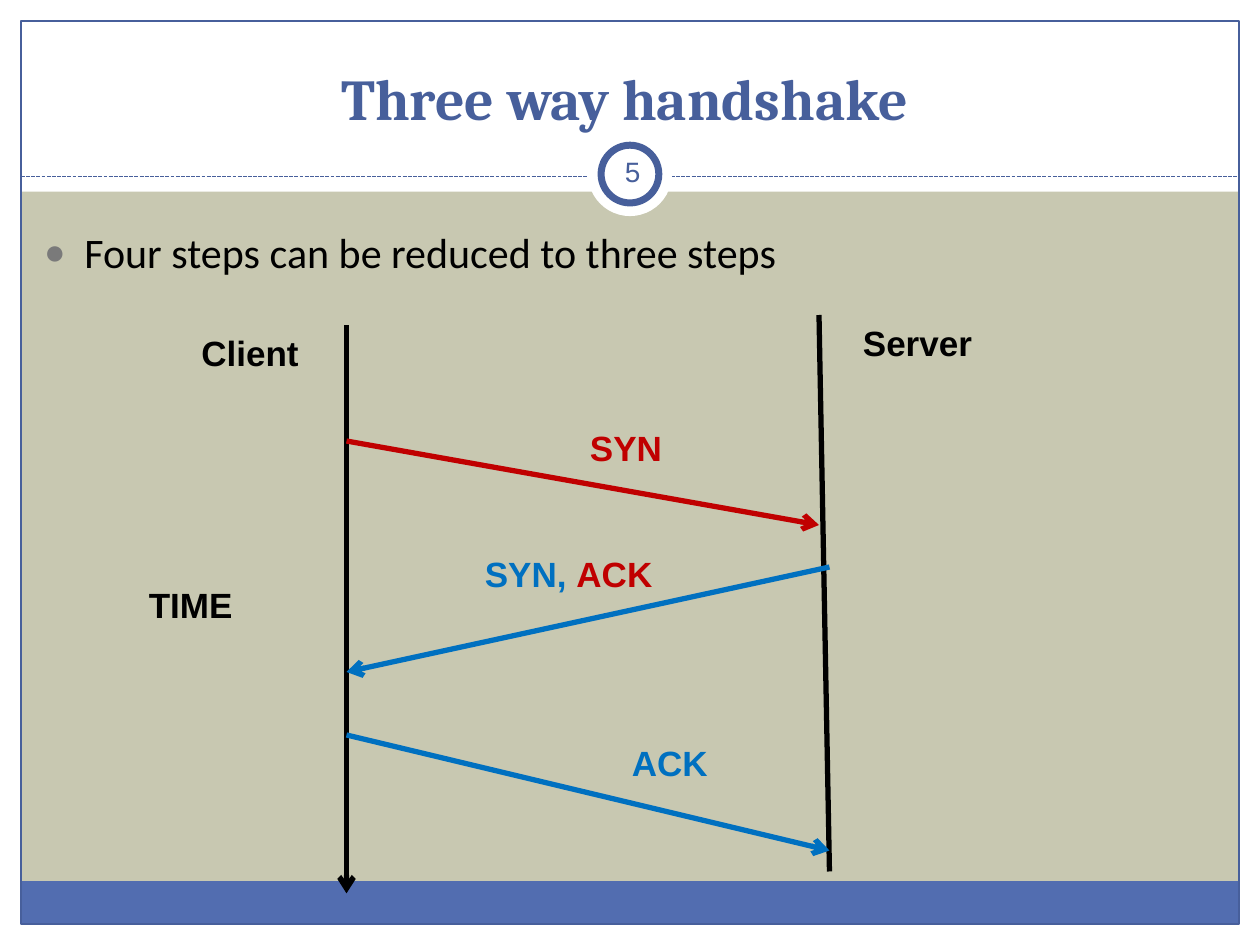
from dataclasses import dataclass
from typing import Any, Optional

from lxml.etree import SubElement
from pptx import Presentation
from pptx.dml.color import RGBColor
from pptx.enum.dml import MSO_LINE
from pptx.enum.shapes import MSO_CONNECTOR, MSO_SHAPE
from pptx.enum.text import MSO_ANCHOR, MSO_AUTO_SIZE, PP_ALIGN
from pptx.oxml.ns import qn
from pptx.util import Pt

NAVY, BLUE, RED, BLACK, WHITE = "475F9B", "0070C0", "C00000", "000000", "FFFFFF"
BAND, SAND, GREY = "526DB0", "C8C8B1", "7A7A7A"

WIDTH, HEIGHT, MARGIN = 720, 540, 12
HEADER_BOTTOM, RULE_Y, FRAME_BOTTOM = 109.5, 100.8, 528
CLIENT_X, SERVER_TOP_X, SERVER_X = 198, 468, 474
LABEL_HEIGHT = 31.5

LABEL_FONT = {"name": "Arial", "size": Pt(20), "bold": True}
LABEL_FRAME = {"word_wrap": True, "auto_size": MSO_AUTO_SIZE.SHAPE_TO_FIT_TEXT}


@dataclass(frozen=True)
class Panel:
    left: float
    top: float
    width: float
    height: float
    fill: Optional[str] = None
    line: Optional[str] = None
    line_width: float = 0.75
    kind: MSO_SHAPE = MSO_SHAPE.RECTANGLE


@dataclass(frozen=True)
class Line:
    start: tuple[float, float]
    end: tuple[float, float]
    color: str = BLACK
    width: float = 3
    arrow: bool = False
    dash: Optional[MSO_LINE] = None


@dataclass(frozen=True)
class Label:
    left: float
    top: float
    width: float
    runs: tuple[tuple[str, str], ...]


def circle(diameter: float, center_y: float, **style: Any) -> Panel:
    """Describe a circle centred across the slide."""
    return Panel((WIDTH - diameter) / 2, center_y - diameter / 2, diameter, diameter,
                 kind=MSO_SHAPE.OVAL, **style)


PANELS = [
    Panel(0, FRAME_BOTTOM, WIDTH, HEIGHT - FRAME_BOTTOM, WHITE),
    Panel(0, 0, WIDTH, HEADER_BOTTOM, WHITE),
    Panel(0, 0, MARGIN, HEIGHT, WHITE),
    Panel(WIDTH - MARGIN, 0, MARGIN, HEIGHT, WHITE),
    Panel(MARGIN, 503.5, WIDTH - 2 * MARGIN, FRAME_BOTTOM - 503.5, BAND),
    Panel(MARGIN, MARGIN, WIDTH - 2 * MARGIN, FRAME_BOTTOM - MARGIN, line=NAVY),
]
HEADER_RULE = Line((MARGIN, RULE_Y), (WIDTH - MARGIN, RULE_Y), NAVY, 0.75,
                   dash=MSO_LINE.SQUARE_DOT)
BADGE = [
    circle(48, 99.5, fill=WHITE),
    circle(33, 99.5, fill=WHITE, line=NAVY, line_width=4),
]
HANDSHAKE = [
    Line((CLIENT_X, 186), (CLIENT_X, 510.5), arrow=True),
    Line((SERVER_TOP_X, 180), (SERVER_X, 498)),
    Line((CLIENT_X, 252), (SERVER_TOP_X, 300), RED, arrow=True),
    Line((SERVER_X, 324), (CLIENT_X, 384), BLUE, arrow=True),
    Line((CLIENT_X, 420), (SERVER_X, 486), BLUE, arrow=True),
]
LABELS = [
    Label(330, 240, 60, (("SYN", RED),)),
    Label(270, 312, 114, (("SYN, ", BLUE), ("ACK", RED))),
    Label(354, 420, 60, (("ACK", BLUE),)),
    Label(78, 330, 66, (("TIME", BLACK),)),
    Label(108, 186, 72, (("Client", BLACK),)),
    Label(486, 180, 84, (("Server", BLACK),)),
]


def rgb(color: str) -> RGBColor:
    return RGBColor.from_string(color)


def set_attributes(target: Any, values: dict[str, Any]) -> None:
    for name, value in values.items():
        setattr(target, name, value)


def place(shape: Any, left: float, top: float, width: float, height: float) -> None:
    set_attributes(shape, {"left": Pt(left), "top": Pt(top),
                           "width": Pt(width), "height": Pt(height)})


def add_run(paragraph: Any, text: str, color: str, font: dict[str, Any]) -> None:
    run = paragraph.add_run()
    run.text = text
    set_attributes(run.font, font)
    run.font.color.rgb = rgb(color)


def draw_panel(slide: Any, panel: Panel) -> None:
    shape = slide.shapes.add_shape(panel.kind, Pt(panel.left), Pt(panel.top),
                                   Pt(panel.width), Pt(panel.height))
    shape.shadow.inherit = False
    if panel.fill:
        shape.fill.solid()
        shape.fill.fore_color.rgb = rgb(panel.fill)
    else:
        shape.fill.background()
    if panel.line:
        shape.line.color.rgb = rgb(panel.line)
        shape.line.width = Pt(panel.line_width)
    else:
        shape.line.fill.background()


def draw_line(slide: Any, line: Line) -> None:
    connector = slide.shapes.add_connector(
        MSO_CONNECTOR.STRAIGHT, *map(Pt, line.start), *map(Pt, line.end))
    connector.line.color.rgb = rgb(line.color)
    connector.line.width = Pt(line.width)
    if line.dash:
        connector.line.dash_style = line.dash
    properties = connector._element.spPr
    if line.arrow:
        SubElement(properties.find(qn("a:ln")), qn("a:tailEnd"), type="arrow")
    SubElement(properties, qn("a:effectLst"))


def draw_label(slide: Any, label: Label) -> None:
    box = slide.shapes.add_textbox(Pt(label.left), Pt(label.top),
                                   Pt(label.width), Pt(LABEL_HEIGHT))
    set_attributes(box.text_frame, LABEL_FRAME)
    for text, color in label.runs:
        add_run(box.text_frame.paragraphs[0], text, color, LABEL_FONT)


def draw_slide_number(slide: Any, number: str) -> None:
    box = slide.shapes.add_textbox(Pt(343.5), Pt(80.5), Pt(36), Pt(34.5))
    margins = {f"margin_{side}": Pt(3.6) for side in ("left", "top", "right", "bottom")}
    set_attributes(box.text_frame, {
        "word_wrap": True, "vertical_anchor": MSO_ANCHOR.MIDDLE, **margins})
    paragraph = box.text_frame.paragraphs[0]
    paragraph.alignment = PP_ALIGN.CENTER
    add_run(paragraph, number, NAVY, {"name": "Arial", "size": Pt(16)})


def bring_to_front(shape: Any) -> None:
    shape._element.getparent().append(shape._element)


def write_title(title: Any, text: str) -> None:
    place(title, 48, 18, 618, 61)
    set_attributes(title.text_frame, {
        "vertical_anchor": MSO_ANCHOR.BOTTOM, "auto_size": MSO_AUTO_SIZE.NONE})
    paragraph = title.text_frame.paragraphs[0]
    paragraph.alignment = PP_ALIGN.CENTER
    add_run(paragraph, text, NAVY, {"name": "Cambria", "size": Pt(33), "bold": True})
    bring_to_front(title)


def write_body(body: Any, text: str) -> None:
    place(body, 18, 126, 666, 54)
    body.text_frame.auto_size = MSO_AUTO_SIZE.NONE
    paragraph = body.text_frame.paragraphs[0]
    paragraph.space_before = Pt(0)
    properties = paragraph._p.get_or_add_pPr()
    properties.set("marL", str(Pt(23)))
    properties.set("indent", str(Pt(-23)))
    SubElement(SubElement(properties, qn("a:buClr")), qn("a:srgbClr"), val=GREY)
    SubElement(properties, qn("a:buSzPct"), val="85000")
    SubElement(properties, qn("a:buChar"), char="●")
    add_run(paragraph, text, BLACK, {"name": "Calibri", "size": Pt(24)})
    bring_to_front(body)


def main() -> None:
    presentation = Presentation()
    presentation.slide_width, presentation.slide_height = Pt(WIDTH), Pt(HEIGHT)
    slide = presentation.slides.add_slide(presentation.slide_layouts[1])
    slide.background.fill.solid()
    slide.background.fill.fore_color.rgb = rgb(SAND)

    for panel in PANELS:
        draw_panel(slide, panel)
    draw_line(slide, HEADER_RULE)
    for panel in BADGE:
        draw_panel(slide, panel)
    write_title(slide.shapes.title, "Three way handshake")
    write_body(slide.placeholders[1], "Four steps can be reduced to three steps")
    for line in HANDSHAKE:
        draw_line(slide, line)
    for label in LABELS:
        draw_label(slide, label)
    draw_slide_number(slide, "5")
    presentation.save("out.pptx")


if __name__ == "__main__":
    main()
